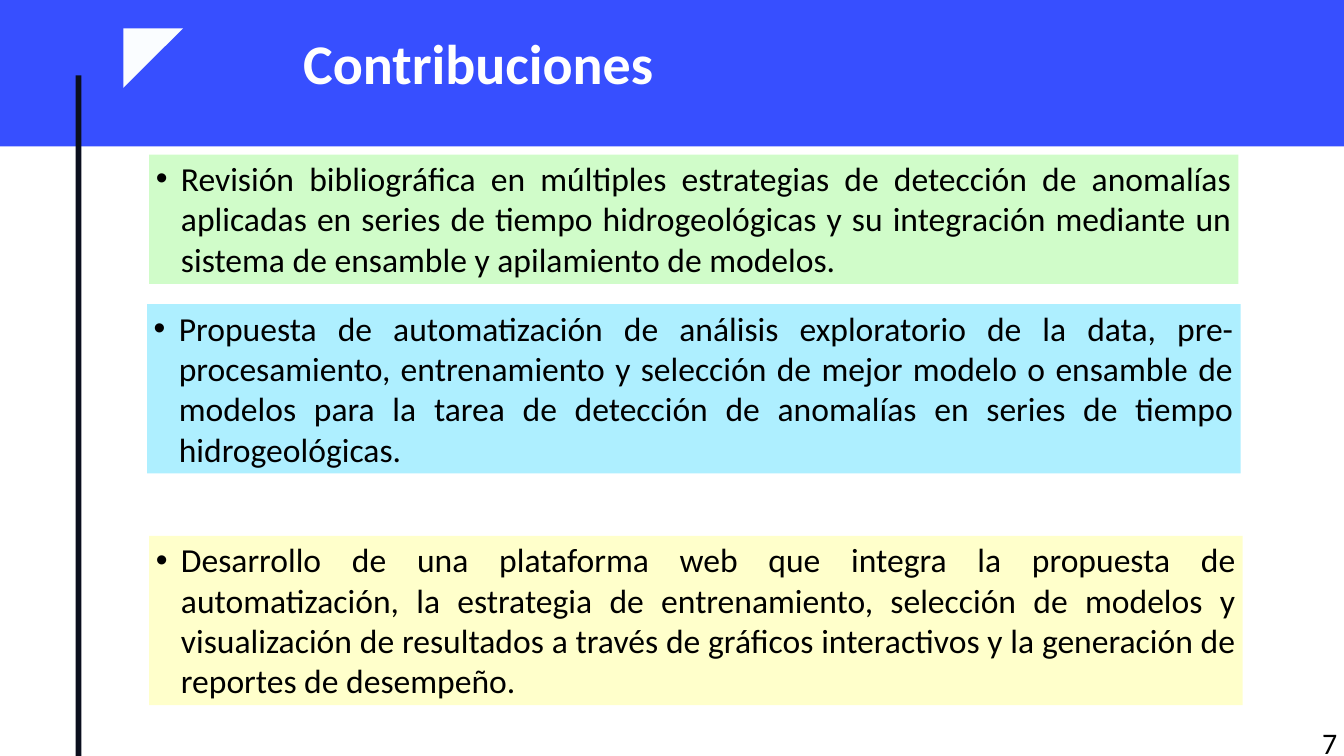
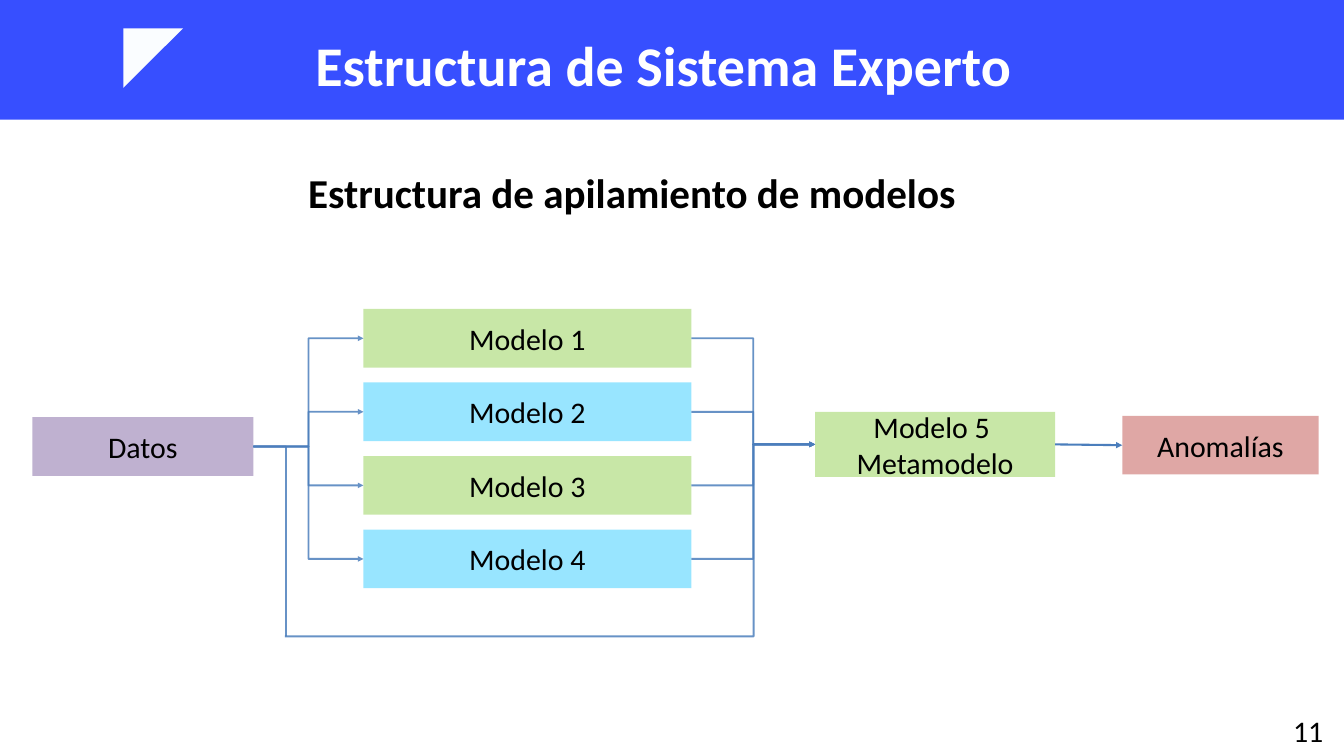
from lxml import etree
from pptx import Presentation
from pptx.dml.color import RGBColor
from pptx.enum.shapes import MSO_CONNECTOR, MSO_SHAPE
from pptx.enum.text import MSO_ANCHOR, PP_ALIGN
from pptx.oxml.ns import qn
from pptx.util import Cm, Pt

RECTANGLE = MSO_SHAPE.RECTANGLE
ELBOW, STRAIGHT = MSO_CONNECTOR.ELBOW, MSO_CONNECTOR.STRAIGHT
TOP, MIDDLE = MSO_ANCHOR.TOP, MSO_ANCHOR.MIDDLE
LEFT, CENTER, RIGHT = PP_ALIGN.LEFT, PP_ALIGN.CENTER, PP_ALIGN.RIGHT
JUSTIFY = PP_ALIGN.JUSTIFY
LEFT_SITE, RIGHT_SITE = 1, 3

FONT = "Calibri"
COLORS = {
    "band": "374FFF", "bar": "0B0F1E", "corner": "FAFDFF",
    "white": "FFFFFF", "black": "000000", "arrow": "4B7EBC",
    "mint": "A3FA94", "sky": "93EAFF", "cream": "FFFF99",
    "green": "92D050", "cyan": "33CCFF", "purple": "8064A2", "red": "C0504D",
}


def add_box(slide, place, text="", fill=None, opacity=100, size=32, color="black",
            bold=False, align=CENTER, anchor=MIDDLE, inset=True, spacing=None):
    """Add a rectangle, or a text box when there is no fill; place is in cm."""
    lengths = [Cm(value) for value in place]
    if fill:
        shape = slide.shapes.add_shape(RECTANGLE, *lengths)
        shape.shadow.inherit = False
        shape.line.fill.background()
        shape.fill.solid()
        shape.fill.fore_color.rgb = RGBColor.from_string(COLORS[fill])
        if opacity < 100:
            fill_color = shape.fill._xPr.find(".//" + qn("a:srgbClr"))
            etree.SubElement(fill_color, qn("a:alpha"), val=str(opacity * 1000))
    else:
        shape = slide.shapes.add_textbox(*lengths)
    if not text:
        return shape
    frame = shape.text_frame
    frame.word_wrap = True
    frame.vertical_anchor = anchor
    if not inset:
        frame.margin_left = frame.margin_right = 0
        frame.margin_top = frame.margin_bottom = 0
    frame.text = text
    paragraph = frame.paragraphs[0]
    paragraph.alignment = align
    if spacing:
        paragraph.line_spacing = spacing
    for run in paragraph.runs:
        run.font.name = FONT
        run.font.size = Pt(size)
        run.font.bold = bold
        run.font.color.rgb = RGBColor.from_string(COLORS[color])
    return shape


def add_link(slide, kind, start=(0, 0), end=(0, 0), source=None, target=None,
             width=2, opacity=84, arrow=True):
    """Link two points in cm, or the right side of source to the left of target."""
    link = slide.shapes.add_connector(kind, *[Cm(value) for value in (*start, *end)])
    if source:
        link.begin_connect(source, RIGHT_SITE)
    if target:
        link.end_connect(target, LEFT_SITE)
    link.line.width = Pt(width)
    link.line.color.rgb = RGBColor.from_string(COLORS["arrow"])
    properties = link._element.spPr
    line = properties.find(qn("a:ln"))
    line_color = line.find(".//" + qn("a:srgbClr"))
    etree.SubElement(line_color, qn("a:alpha"), val=str(opacity * 1000))
    if arrow:
        etree.SubElement(line, qn("a:tailEnd"), type="triangle")
    etree.SubElement(properties, qn("a:effectLst"))
    return link


presentation = Presentation()
presentation.slide_width = Cm(50.8)
presentation.slide_height = Cm(28.58)

# Header and slide number: band height, title, its place, alignment, spacing, number
headers = [
    (5.54, "Contribuciones", (11.46, 0.69, 13.94, 2.95), LEFT, 1.15,
     "7", (44.88, 27.56, 5.92, 1.02)),
    (4.52, "Estructura de Sistema Experto", (8.99, 0.41, 32.18, 3.33), CENTER, 1.3,
     "11", (43.64, 26.64, 6.63, 1.93)),
]
slides = []
for band_height, title, title_place, align, spacing, number, number_place in headers:
    slide = presentation.slides.add_slide(presentation.slide_layouts[6])
    add_box(slide, (0, 0, 50.8, band_height), fill="band")
    builder = slide.shapes.build_freeform(Cm(4.66), Cm(3.32))
    builder.add_line_segments([(Cm(4.66), Cm(1.07)), (Cm(6.92), Cm(1.07))])
    corner = builder.convert_to_shape()
    corner.shadow.inherit = False
    corner.line.fill.background()
    corner.fill.solid()
    corner.fill.fore_color.rgb = RGBColor.from_string(COLORS["corner"])
    add_box(slide, title_place, title, size=60, color="white", bold=True,
            align=align, anchor=TOP, inset=False, spacing=spacing)
    add_box(slide, number_place, number, align=RIGHT)
    slides.append(slide)
contributions_slide, system_slide = slides

# Contributions
add_box(contributions_slide, (2.86, 2.85, 0.22, 25.73), fill="bar")
contributions = [
    ((5.64, 5.85, 41.17, 4.88), "mint", 50,
     "Revisión bibliográfica en múltiples estrategias de detección de anomalías "
     "aplicadas en series de tiempo hidrogeológicas y su integración mediante un "
     "sistema de ensamble y apilamiento de modelos."),
    ((5.56, 11.5, 41.33, 6.4), "sky", 75,
     "Propuesta de automatización de análisis exploratorio de la data, "
     "pre-procesamiento, entrenamiento y selección de mejor modelo o ensamble de "
     "modelos para la tarea de detección de anomalías en series de tiempo "
     "hidrogeológicas."),
    ((5.64, 20.26, 41.33, 6.4), "cream", 50,
     "Desarrollo de una plataforma web que integra la propuesta de automatización, "
     "la estrategia de entrenamiento, selección de modelos y visualización de "
     "resultados a través de gráficos interactivos y la generación de reportes de "
     "desempeño."),
]
for place, fill, opacity, text in contributions:
    box = add_box(contributions_slide, place, text, fill, opacity, size=36,
                  align=JUSTIFY, anchor=TOP)
    properties = box.text_frame.paragraphs[0]._p.get_or_add_pPr()
    properties.set("marL", str(Cm(0.95)))
    properties.set("indent", str(-Cm(0.95)))
    bullet_color = etree.SubElement(properties, qn("a:buClr"))
    etree.SubElement(bullet_color, qn("a:srgbClr"), val=COLORS["black"])
    etree.SubElement(properties, qn("a:buFont"), typeface="Arial")
    etree.SubElement(properties, qn("a:buChar"), char="•")

# Stacked models
add_box(system_slide, (3.56, 5.79, 40.69, 2.44), "Estructura de apilamiento de modelos",
        size=44, bold=True, anchor=TOP, inset=False, spacing=1.3)
data = add_box(system_slide, (1.22, 15.77, 8.36, 2.22), "Datos", "purple", 50)
metamodel = add_box(system_slide, (30.81, 15.57, 9.07, 2.46),
                    "Modelo 5 \vMetamodelo", "green", 50)
anomalies = add_box(system_slide, (42.42, 15.72, 7.42, 2.22), "Anomalías", "red", 50)
for index in range(4):
    model = add_box(system_slide, (13.74, 11.68 + 2.78 * index, 12.39, 2.22),
                    f"Modelo {index + 1}", ("green", "cyan")[index % 2], 50)
    add_link(system_slide, ELBOW, source=data, target=model)
    add_link(system_slide, ELBOW, source=model, target=metamodel)
add_link(system_slide, STRAIGHT, source=metamodel, target=anomalies,
         width=2.25, opacity=100)

# Bypass that carries the data below the models to the metamodel
bypass_down = add_link(system_slide, ELBOW, (9.58, 16.88), (10.81, 24.06), arrow=False)
bypass_down._element.spPr.find(qn("a:prstGeom")).set("prst", "bentConnector2")
bypass_up = add_link(system_slide, ELBOW, (10.77, 24.06), (30.81, 16.8))
bend = bypass_up._element.spPr.find(".//" + qn("a:avLst"))
etree.SubElement(bend, qn("a:gd"), name="adj1", fmla="val 88400")

presentation.save("out.pptx")
